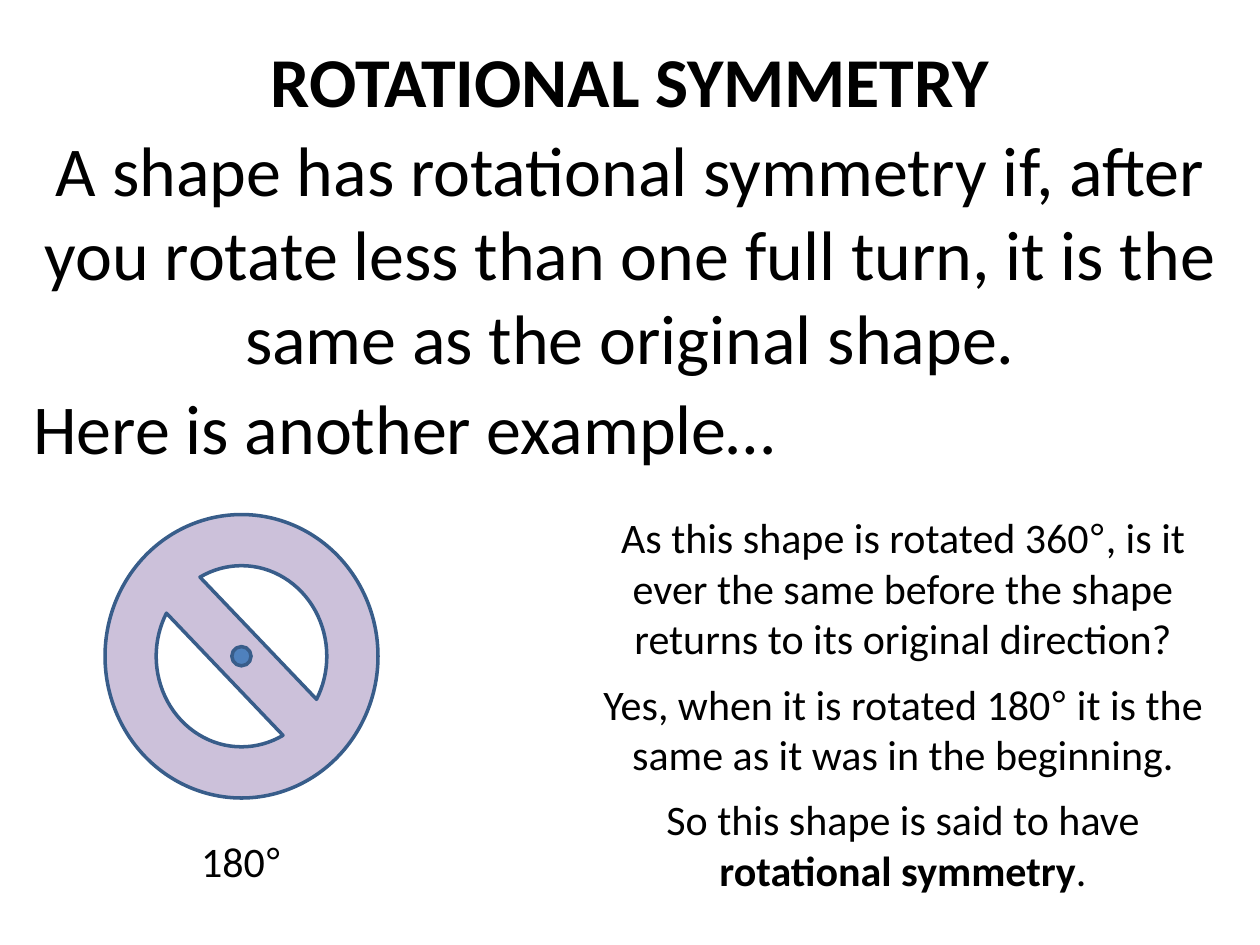
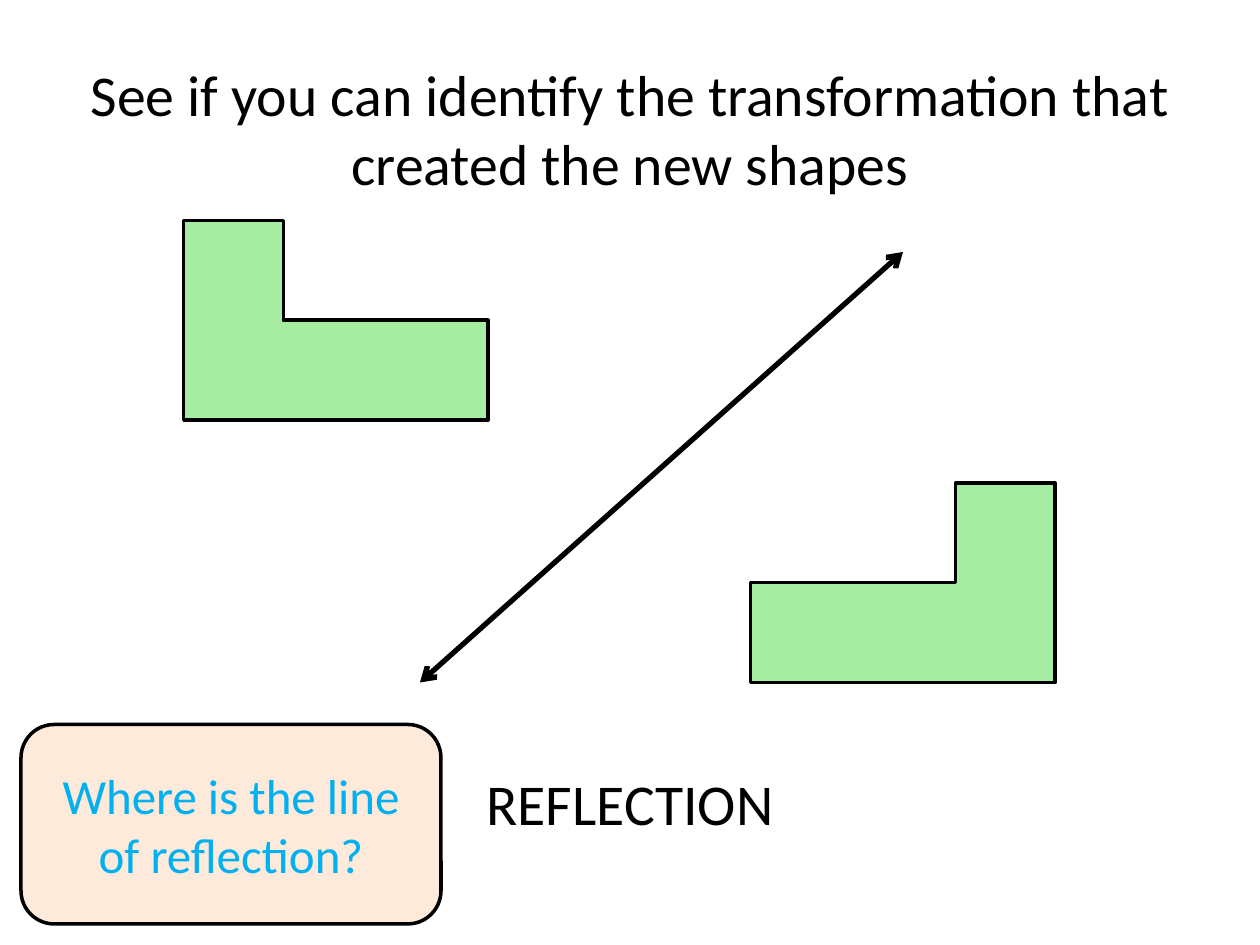
from lxml import etree
from pptx import Presentation
from pptx.dml.color import RGBColor
from pptx.enum.shapes import MSO_CONNECTOR, MSO_SHAPE
from pptx.enum.text import MSO_ANCHOR, MSO_AUTO_SIZE, PP_ALIGN
from pptx.oxml.ns import qn
from pptx.util import Pt

LEFT, CENTER = PP_ALIGN.LEFT, PP_ALIGN.CENTER
TOP, MIDDLE = MSO_ANCHOR.TOP, MSO_ANCHOR.MIDDLE
NO_AUTOSIZE = MSO_AUTO_SIZE.NONE
STRAIGHT = MSO_CONNECTOR.STRAIGHT
NO_SYMBOL, OVAL = MSO_SHAPE.NO_SYMBOL, MSO_SHAPE.OVAL
ROUNDED = MSO_SHAPE.ROUNDED_RECTANGLE

BLACK = RGBColor(0x00, 0x00, 0x00)
LILAC = RGBColor(0xCC, 0xC1, 0xDA)
BLUE = RGBColor(0x4F, 0x81, 0xBD)
DARK_BLUE = RGBColor(0x38, 0x5D, 0x8A)
GREEN = RGBColor(0xA6, 0xED, 0xA1)
PEACH = RGBColor(0xFD, 0xEA, 0xDA)
SKY = RGBColor(0x00, 0xB0, 0xF0)

TITLE_ONLY = 5
BODY_FONT, DEGREE_FONT = "Calibri", "Arial"
BIG, MEDIUM, SMALL = 40, 33, 24


def write(shape, spans, size, color=BLACK, align=CENTER, anchor=TOP, bold=False):
    """Fill a shape with one paragraph; a span is a text or a (text, bold) pair."""
    frame = shape.text_frame
    frame.word_wrap = True
    frame.auto_size = NO_AUTOSIZE
    frame.vertical_anchor = anchor
    para = frame.paragraphs[0]
    para.alignment = align
    font = para.font
    font.name, font.size, font.bold = BODY_FONT, Pt(size), bold
    font.color.rgb = color
    for span in spans:
        text, is_bold = span if isinstance(span, tuple) else (span, None)
        run = para.add_run()
        run.text = text
        if is_bold:
            run.font.bold = True
        if text == "°":
            run.font.name = DEGREE_FONT


def add_titled_page(deck, title, place, size, bold=False):
    page = deck.slides.add_slide(deck.slide_layouts[TITLE_ONLY])
    box = page.shapes.title
    box.left, box.top, box.width, box.height = map(Pt, place)
    write(box, [title], size, bold=bold)
    return page


def add_text(page, place, spans, size, align=CENTER):
    write(page.shapes.add_textbox(*map(Pt, place)), spans, size, align=align)


def paint(shape, fill, line):
    shape.shadow.inherit = False
    shape.fill.solid()
    shape.fill.fore_color.rgb = fill
    shape.line.color.rgb = line
    shape.line.width = Pt(2)


def add_preset(page, kind, place, fill, line):
    shape = page.shapes.add_shape(kind, *map(Pt, place))
    paint(shape, fill, line)
    return shape


def add_l_shape(page, corner_x, top, direction):
    """Draw an L from its upright's outer corner; direction -1 mirrors it."""
    thick, length = 57, 174
    inner_x = corner_x + direction * thick
    end_x = corner_x + direction * length
    middle, bottom = top + thick, top + 2 * thick
    corners = [(inner_x, top), (inner_x, middle), (end_x, middle),
               (end_x, bottom), (corner_x, bottom)]
    builder = page.shapes.build_freeform(Pt(corner_x), Pt(top))
    builder.add_line_segments([(Pt(x), Pt(y)) for x, y in corners], close=True)
    paint(builder.convert_to_shape(), GREEN, BLACK)


def add_double_arrow(page, start, end):
    arrow = page.shapes.add_connector(STRAIGHT, *map(Pt, start + end))
    arrow.line.color.rgb = BLACK
    arrow.line.width = Pt(3)
    line = arrow.line._get_or_add_ln()
    for tip in ("a:headEnd", "a:tailEnd"):
        etree.SubElement(line, qn(tip), type="arrow")
    etree.SubElement(arrow._element.spPr, qn("a:effectLst"))


def build_rotation_page(deck):
    page = add_titled_page(deck, "ROTATIONAL SYMMETRY", (12, 18, 696, 55.5), BIG, bold=True)
    add_text(page, (12, 69, 696, 151),
             ["A shape has rotational symmetry if, after you rotate less than "
              "one full turn, it is the same as the original shape."], BIG)
    add_text(page, (12, 216, 696, 55.5), ["Here is another example…"], BIG, LEFT)

    add_preset(page, NO_SYMBOL, (60, 294, 156, 162), LILAC, DARK_BLUE)
    add_preset(page, OVAL, (132.5, 369.5, 11, 11), BLUE, DARK_BLUE)

    notes = [
        ((102, 474, 72, 36), ["180", "°"]),
        ((324, 289, 384, 94),
         ["As this shape is rotated 360", "°",
          ", is it ever the same before the shape returns to its original direction?"]),
        ((330, 384, 372, 65),
         ["Yes, when it is rotated 180", "°",
          " it is the same as it was in the beginning."]),
        ((330, 450, 372, 65),
         ["So this shape is said to have ", ("rotational symmetry", True), "."]),
    ]
    for place, spans in notes:
        add_text(page, place, spans, SMALL)


def build_reflection_page(deck):
    page = add_titled_page(
        deck, "See if you can identify the transformation that created the new shapes",
        (0, 30, 720, 86.5), MEDIUM)
    add_l_shape(page, 105, 126, 1)
    add_l_shape(page, 603, 276, -1)
    add_text(page, (0, 435, 720, 47), ["REFLECTION"], MEDIUM)
    question = add_preset(page, ROUNDED, (12, 414, 240, 114), PEACH, BLACK)
    write(question, ["Where is the line of reflection?"], 28, SKY, anchor=MIDDLE)
    add_double_arrow(page, (516, 144), (240, 390))


def main():
    deck = Presentation()
    deck.slide_width, deck.slide_height = Pt(720), Pt(540)
    build_rotation_page(deck)
    build_reflection_page(deck)
    deck.save("out.pptx")


if __name__ == "__main__":
    main()
